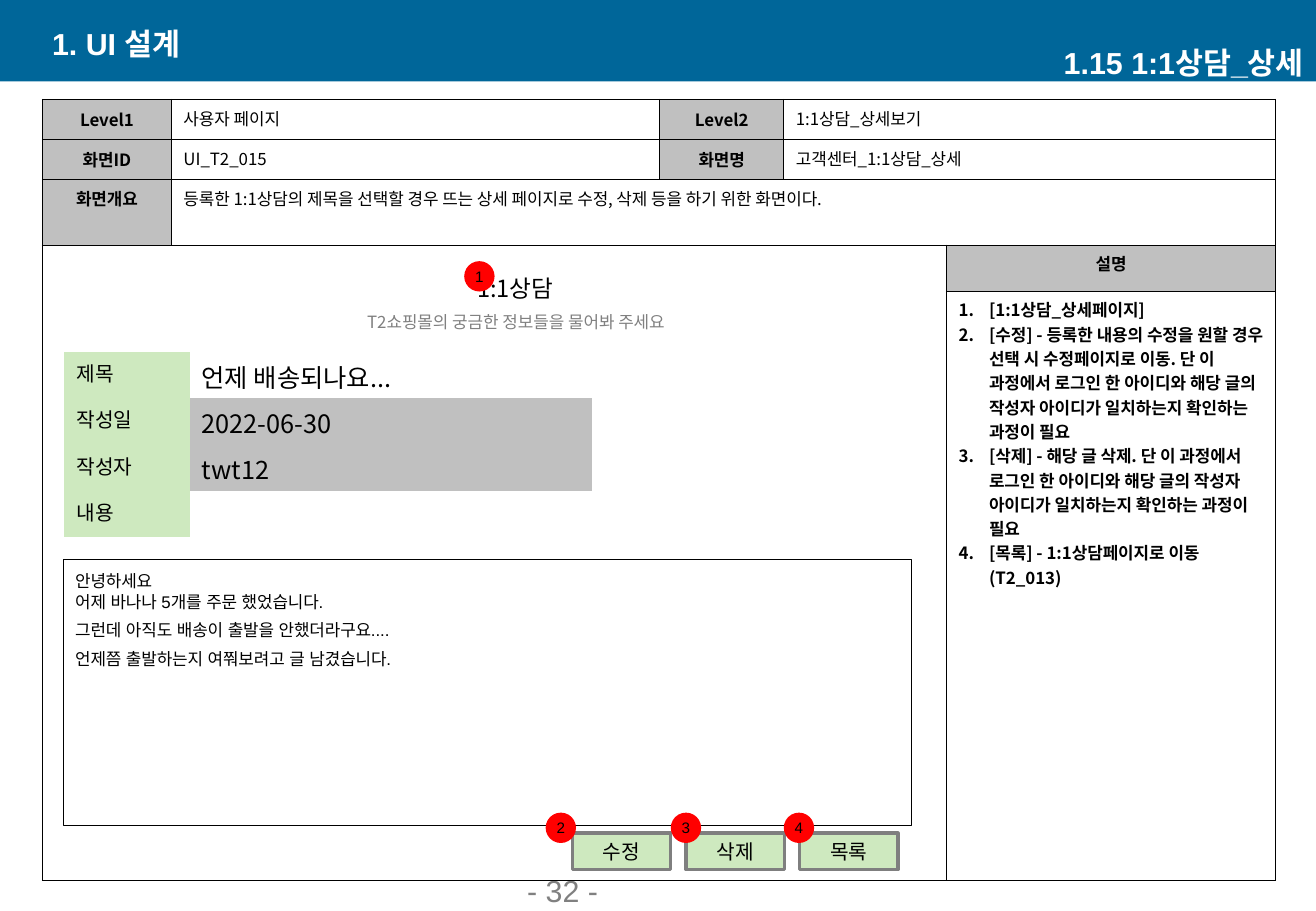
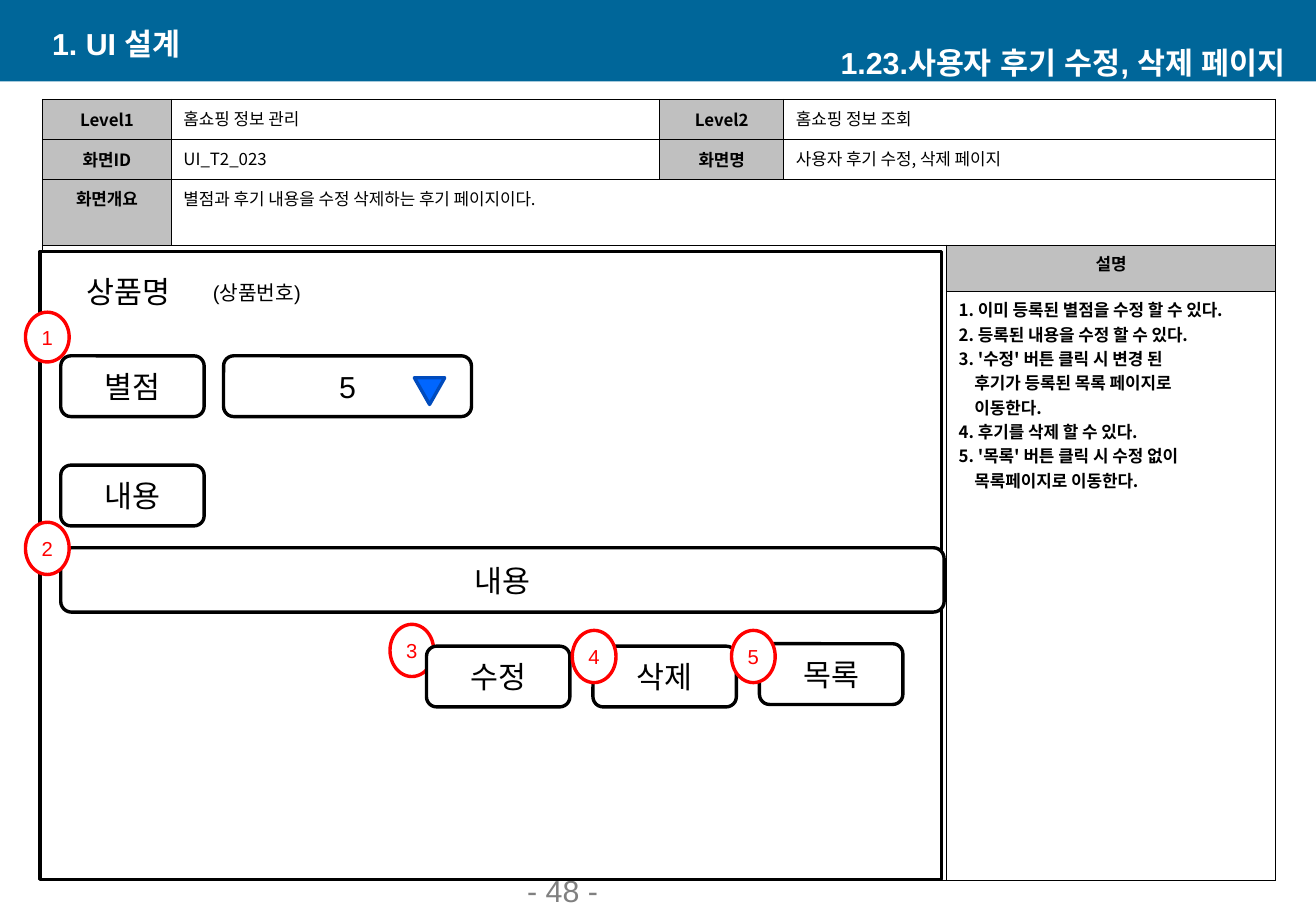
from lxml.etree import SubElement
from pptx import Presentation
from pptx.dml.color import RGBColor
from pptx.enum.shapes import MSO_SHAPE
from pptx.enum.text import MSO_ANCHOR, MSO_AUTO_SIZE, PP_ALIGN
from pptx.oxml.ns import qn
from pptx.util import Inches, Pt

RECT, ROUND = MSO_SHAPE.RECTANGLE, MSO_SHAPE.ROUNDED_RECTANGLE
OVAL, TRI = MSO_SHAPE.OVAL, MSO_SHAPE.ISOSCELES_TRIANGLE
TOP, MID, LOW = MSO_ANCHOR.TOP, MSO_ANCHOR.MIDDLE, MSO_ANCHOR.BOTTOM
LEFT, MIDST, RIGHT = PP_ALIGN.LEFT, PP_ALIGN.CENTER, PP_ALIGN.RIGHT
ARIAL, NOTO = "Arial", "Noto Sans CJK KR"
PLAIN = "{2D5ABB26-0587-4C30-8999-92F81FD0307C}"

BLACK = RGBColor(0x00, 0x00, 0x00)
WHITE = RGBColor(0xFF, 0xFF, 0xFF)
BAND = RGBColor(0x00, 0x66, 0x99)
SILVER = RGBColor(0xC0, 0xC0, 0xC0)
GREY = RGBColor(0x80, 0x80, 0x80)
EDGE = RGBColor(0x7F, 0x7F, 0x7F)
GREEN = RGBColor(0xCE, 0xE9, 0xBF)
RED = RGBColor(0xFF, 0x00, 0x00)
BLUE = RGBColor(0x00, 0x66, 0xFF)
NAVY = RGBColor(0x00, 0x4B, 0xBD)


def write(frame, lines, size, color=BLACK, bold=False, align=LEFT, font=ARIAL):
    for i, line in enumerate(lines):
        para = frame.paragraphs[0] if i == 0 else frame.add_paragraph()
        para.alignment = align
        run = para.add_run()
        run.text = line
        run.font.size = Pt(size)
        run.font.bold = bold
        run.font.name = font
        run.font.color.rgb = color
        SubElement(run._r.get_or_add_rPr(), qn("a:ea"), typeface=font)


def draw(slide, kind, at, fill, line=None, width=2, text=None, size=12, color=BLACK):
    shape = slide.shapes.add_shape(kind, *map(Inches, at))
    shape.shadow.inherit = False
    shape.fill.solid()
    shape.fill.fore_color.rgb = fill
    if line is None:
        shape.line.fill.background()
    else:
        shape.line.color.rgb = line
        shape.line.width = Pt(width)
    if text:
        frame = shape.text_frame
        frame.word_wrap = False
        frame.vertical_anchor = MID
        frame.margin_left = frame.margin_right = 0
        frame.margin_top = frame.margin_bottom = 0
        write(frame, [text], size, color, align=MIDST)
    return shape


pages = [
    {
        "title": "1.15 1:1상담_상세",
        "pad": 0.1,
        "page": "- 32 -",
        "cells": ["사용자 페이지", "1:1상담_상세보기", "UI_T2_015", "고객센터_1:1상담_상세"],
        "brief": "등록한 1:1상담의 제목을 선택할 경우 뜨는 상세 페이지로 수정, 삭제 등을 하기 위한 화면이다.",
        "notes": [
            "[1:1상담_상세페이지]",
            "[수정] - 등록한 내용의 수정을 원할 경우 선택 시 수정페이지로 이동. 단 이 과정에서 "
            "로그인 한 아이디와 해당 글의 작성자 아이디가 일치하는지 확인하는 과정이 필요",
            "[삭제] - 해당 글 삭제. 단 이 과정에서 로그인 한 아이디와 해당 글의 작성자 아이디가 "
            "일치하는지 확인하는 과정이 필요",
            "[목록] - 1:1상담페이지로 이동(T2_013)",
        ],
        "auto": True,
    },
    {
        "title": "1.23.사용자 후기 수정, 삭제 페이지",
        "pad": 0.25,
        "page": "- 48 -",
        "cells": ["홈쇼핑 정보 관리", "홈쇼핑 정보 조회", "UI_T2_023", "사용자 후기 수정, 삭제 페이지"],
        "brief": "별점과 후기 내용을 수정 삭제하는 후기 페이지이다.",
        "notes": [
            "1. 이미 등록된 별점을 수정 할 수 있다.",
            "2. 등록된 내용을 수정 할 수 있다.",
            "3. '수정' 버튼 클릭 시 변경 된",
            "후기가 등록된 목록 페이지로",
            "이동한다.",
            "4. 후기를 삭제 할 수 있다.",
            "5. '목록' 버튼 클릭 시 수정 없이",
            "목록페이지로 이동한다.",
        ],
        "auto": False,
    },
]

prs = Presentation()
prs.slide_width, prs.slide_height = Inches(10.83), Inches(7.5)
layout = prs.slide_layouts[5]
head = layout.placeholders[0]
head.left, head.top = Inches(6.45), Inches(0.35)
head.width, head.height = Inches(4.38), Inches(0.33)

slides = []
for page in pages:
    slide = prs.slides.add_slide(layout)
    if not slides:
        band = draw(slide, RECT, (0, 0, 10.83, 0.67), BAND)
        layout.shapes.element.insert(2, band.element)
    slides.append(slide)

    frame = slide.shapes.title.text_frame
    frame.auto_size = MSO_AUTO_SIZE.NONE
    frame.vertical_anchor = MID
    frame.margin_right = Inches(page["pad"])
    write(frame, [page["title"]], 18, WHITE, True, RIGHT)

    for at, text, color, bold, anchor in [
        ((0.33, 0.19, 4.38, 0.33), "1. UI 설계", WHITE, True, MID),
        ((4.24, 7.3, 2.26, 0.23), page["page"], GREY, False, LOW),
    ]:
        frame = slide.shapes.add_textbox(*map(Inches, at)).text_frame
        frame.word_wrap = True
        frame.vertical_anchor = anchor
        write(frame, [text], 18, color, bold)

    grid = slide.shapes.add_table(5, 5, *map(Inches, (0.35, 0.82, 10.14, 6.43)))
    next(grid.element.iter(qn("a:tableStyleId"))).text = PLAIN
    table = grid.table
    for col, width in zip(table.columns, (1.06, 4.02, 1.02, 1.34, 2.71)):
        col.width = Inches(width)
    for row, height in zip(table.rows, (0.33, 0.33, 0.54, 0.38, 4.85)):
        row.height = Inches(height)
    for first, last in [((0, 3), (0, 4)), ((1, 3), (1, 4)), ((2, 1), (2, 4)), ((3, 0), (4, 3))]:
        table.cell(*first).merge(table.cell(*last))

    one, two, code, name = page["cells"]
    texts = {
        (0, 0): "Level1", (0, 1): one, (0, 2): "Level2", (0, 3): two,
        (1, 0): "화면ID", (1, 1): code, (1, 2): "화면명", (1, 3): name,
        (2, 0): "화면개요", (2, 1): page["brief"], (3, 4): "설명",
    }
    labels = [(0, 0), (0, 2), (1, 0), (1, 2), (2, 0), (3, 4)]
    for r in range(5):
        for c in range(5):
            cell = table.cell(r, c)
            label = (r, c) in labels
            if label:
                cell.fill.solid()
                cell.fill.fore_color.rgb = SILVER
            else:
                cell.fill.background()
            cell.vertical_anchor = MID if label and r < 2 else TOP
            props = cell._tc.get_or_add_tcPr()
            for i, side in enumerate(("a:lnL", "a:lnR", "a:lnT", "a:lnB")):
                edge = SubElement(props, qn(side), w="12700")
                SubElement(SubElement(edge, qn("a:solidFill")), qn("a:srgbClr"), val=str(BLACK))
                props.insert(i, edge)
            if (r, c) in texts:
                align = MIDST if label else LEFT
                write(cell.text_frame, [texts[r, c]], 10, bold=label, align=align, font=NOTO)
            elif (r, c) != (4, 4):
                SubElement(cell.text_frame.paragraphs[0]._p, qn("a:endParaRPr"), sz="1000")

    frame = table.cell(4, 4).text_frame
    write(frame, page["notes"], 10, bold=True, font=NOTO)
    for para in frame.paragraphs:
        props = para._p.get_or_add_pPr()
        if page["auto"]:
            props.set("marL", str(Inches(0.25)))
            props.set("indent", str(-Inches(0.25)))
            SubElement(props, qn("a:buAutoNum"), type="arabicPeriod")
        elif not para.text[0].isdigit():
            props.set("marL", str(Inches(0.13)))

ask, review = slides

for at, text, size, color in [
    ((3.63, 2.21, 1.22, 0.43), "1:1상담", 14, BLACK),
    ((2, 2.52, 4.49, 0.27), "T2쇼핑몰의 궁금한 정보들을 물어봐 주세요", 10, GREY),
]:
    frame = ask.shapes.add_textbox(*map(Inches, at)).text_frame
    frame.word_wrap = True
    write(frame, [text], size, color, align=MIDST, font=NOTO)

body = draw(ask, RECT, (0.52, 4.6, 6.98, 2.19), WHITE, BLACK, 0.25)
frame = body.text_frame
frame.word_wrap = True
frame.vertical_anchor = TOP
frame.margin_top = Inches(0.1)
write(frame, [
    "안녕하세요",
    "어제 바나나 5개를 주문 했었습니다.",
    "그런데 아직도 배송이 출발을 안했더라구요....",
    "언제쯤 출발하는지 여쭤보려고 글 남겼습니다.",
], 10)
for para in frame.paragraphs[1:]:
    para.space_after = Pt(5)

for i, text in enumerate(("수정", "삭제", "목록")):
    draw(ask, RECT, (4.71 + 0.935 * i, 6.86, 0.81, 0.3), GREEN, EDGE, 2, text)
for i, (left, top) in enumerate([(3.82, 2.15), (4.49, 6.69), (5.52, 6.69), (6.45, 6.69)], 1):
    draw(ask, OVAL, (left, top, 0.25, 0.25), RED, text=str(i), size=9)

grid = ask.shapes.add_table(4, 2, *map(Inches, (0.53, 2.9, 4.34, 1.52)))
next(grid.element.iter(qn("a:tableStyleId"))).text = PLAIN
form = grid.table
form.columns[0].width, form.columns[1].width = Inches(1.03), Inches(3.31)
for r, (label, value, fill) in enumerate([
    ("제목", "언제 배송되나요...", None),
    ("작성일", "2022-06-30", SILVER),
    ("작성자", "twt12", SILVER),
    ("내용", "", None),
]):
    for c, (text, size, shade) in enumerate([(label, 12, GREEN), (value, 15, fill)]):
        cell = form.cell(r, c)
        cell.margin_bottom = Inches(0.02)
        if shade:
            cell.fill.solid()
            cell.fill.fore_color.rgb = shade
        else:
            cell.fill.background()
        if text:
            write(cell.text_frame, [text], size, font=NOTO)
        else:
            SubElement(cell.text_frame.paragraphs[0]._p, qn("a:endParaRPr"), sz="1200")

draw(review, RECT, (0.33, 2.07, 7.42, 5.17), WHITE, BLACK)
draw(review, ROUND, (0.47, 2.15, 1.18, 0.5), WHITE, text="상품명", size=18)
draw(review, RECT, (1.53, 2.25, 1.17, 0.31), WHITE, WHITE, 0.75, "(상품번호)")
draw(review, OVAL, (3.21, 5.14, 0.36, 0.43), WHITE, RED, text="3", color=RED)
for left, top, width, height, text in [
    (0.5, 2.93, 1.18, 0.5, "별점"),
    (1.84, 2.93, 2.04, 0.5, "5"),
    (0.5, 3.83, 1.18, 0.5, "내용"),
    (0.5, 4.51, 7.27, 0.53, "내용"),
    (3.51, 5.32, 1.18, 0.5, "수정"),
    (4.88, 5.32, 1.18, 0.5, "삭제"),
    (6.25, 5.3, 1.18, 0.5, "목록"),
]:
    draw(review, ROUND, (left, top, width, height), WHITE, BLACK, text=text, size=18)
arrow = draw(review, TRI, (3.41, 3.11, 0.25, 0.22), BLUE, NAVY)
arrow.rotation = 180
for left, top, height, text in [
    (0.21, 2.57, 0.41, "1"),
    (0.21, 4.3, 0.43, "2"),
    (4.71, 5.19, 0.43, "4"),
    (6.02, 5.19, 0.43, "5"),
]:
    draw(review, OVAL, (left, top, 0.36, height), WHITE, RED, text=text, color=RED)

prs.save("out.pptx")
